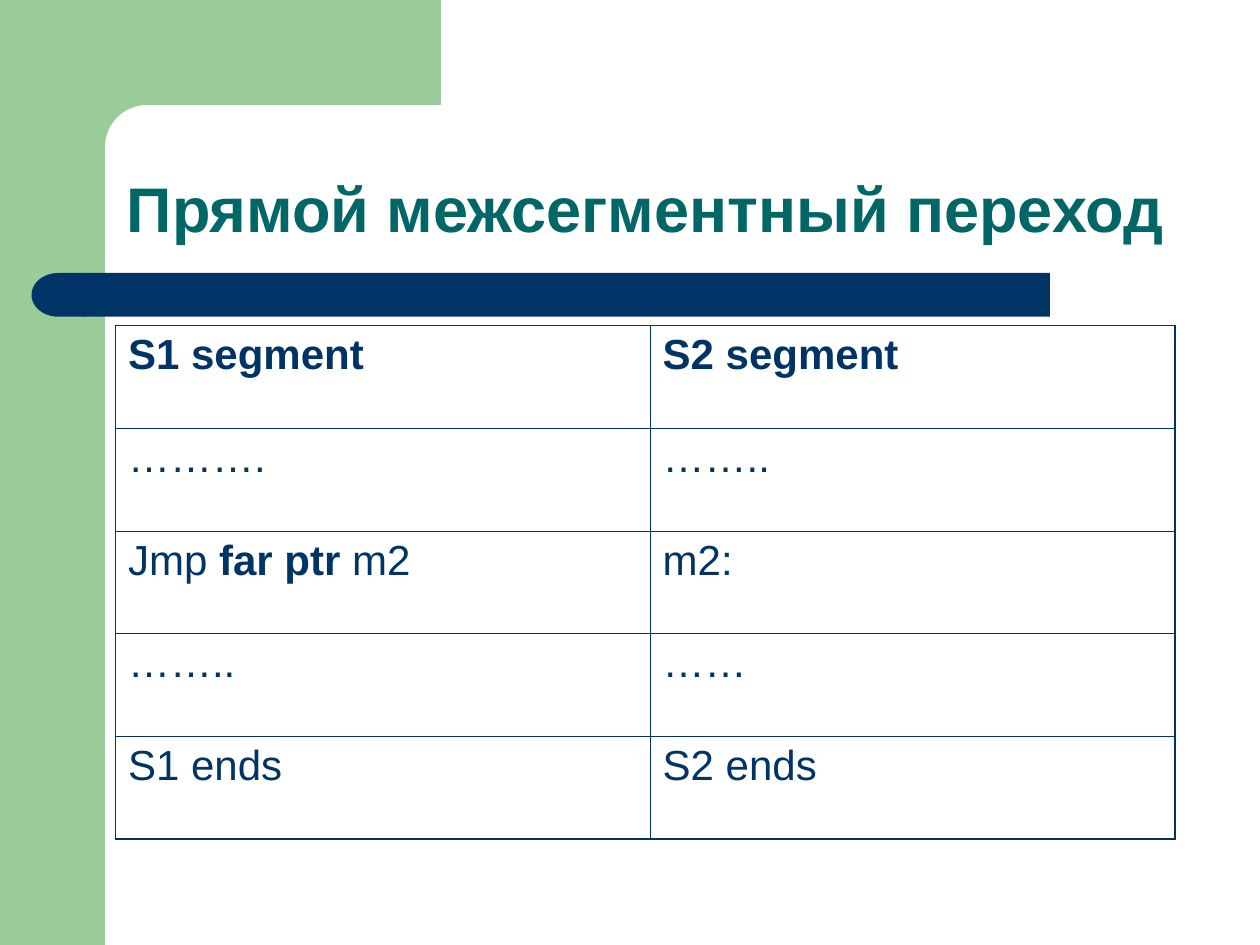
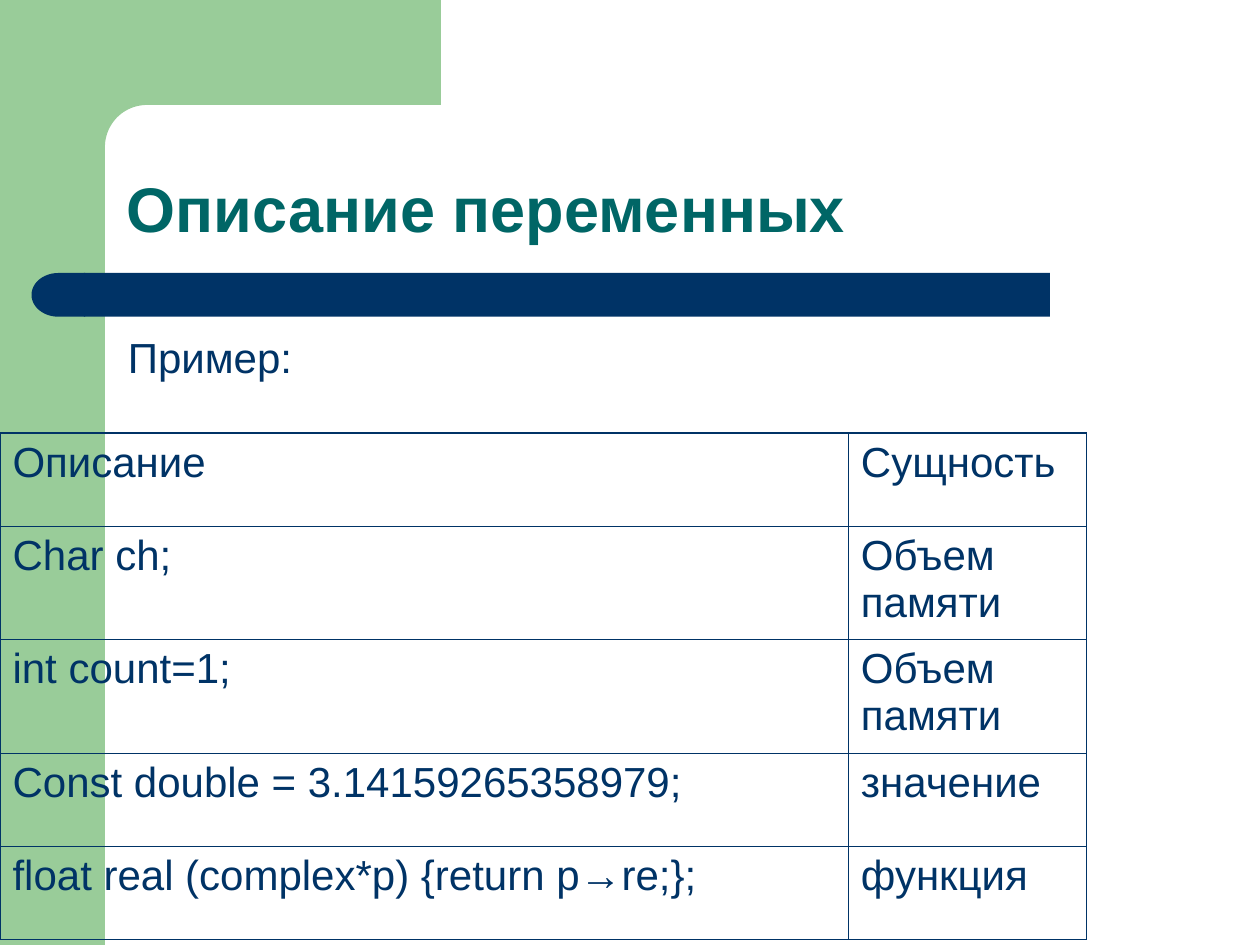
from math import cos, pi, sin

from lxml.etree import SubElement
from pptx import Presentation
from pptx.dml.color import RGBColor
from pptx.enum.shapes import MSO_SHAPE
from pptx.enum.text import MSO_ANCHOR
from pptx.oxml.ns import qn
from pptx.util import Emu, Pt

COLUMNS, ROWS = 120, 90  # grid of square cells
UNIT = 76200  # one cell, a twelfth of an inch, in EMU
FONT = "Arial"
GREEN, NAVY, TEAL = "99CC99", "003366", "006666"
OUTER, INNER = 1.08, 0.45  # table rules in points


def grid(*cells):
    return [Emu(round(cell * UNIT)) for cell in cells]


def color(value):
    return RGBColor.from_string(value)


class Deck:
    def __init__(self):
        self.prs = Presentation()
        self.prs.slide_width, self.prs.slide_height = grid(COLUMNS, ROWS)
        self.slide = None

    def new_slide(self, heading):
        self.slide = self.prs.slides.add_slide(self.prs.slide_layouts[6])
        self.frame()
        self.text(heading, (10.92, 10.92, 102.2, 13.08), 36, TEAL,
                  bold=True, anchor=MSO_ANCHOR.BOTTOM, spacing=0.9)

    def paint(self, shape, fill):
        shape.fill.solid()
        shape.fill.fore_color.rgb = color(fill)
        shape.line.fill.background()
        shape.shadow.inherit = False
        return shape

    def block(self, kind, box, fill):
        return self.paint(self.slide.shapes.add_shape(kind, *grid(*box)), fill)

    def frame(self):
        # Green side band and top corner with a rounded inner edge
        band, radius, steps = 10, 4, 24
        center = band + radius
        self.block(MSO_SHAPE.RECTANGLE, (0, 0, band, ROWS), GREEN)
        arc = [(center - radius * sin(pi / 2 * i / steps),
                center - radius * cos(pi / 2 * i / steps))
               for i in range(steps + 1)]
        outline = [(42, 0), (42, band), *arc, (band, 15.4), (6, 15.4)]
        builder = self.slide.shapes.build_freeform(*grid(6, 0), scale=1)
        builder.add_line_segments([grid(*point) for point in outline], close=True)
        self.paint(builder.convert_to_shape(), GREEN)
        # Navy bar with a round left end
        self.block(MSO_SHAPE.RECTANGLE, (8, 26, 92, 4.16), NAVY)
        self.block(MSO_SHAPE.FLOWCHART_DELAY, (3, 26, 5.1, 4.16), NAVY).rotation = 180

    def style(self, run, size, ink, bold):
        run.font.name, run.font.size, run.font.bold = FONT, Pt(size), bold
        run.font.color.rgb = color(ink)

    def text(self, words, box, size, ink, bold=False,
             anchor=MSO_ANCHOR.TOP, spacing=1.0):
        frame = self.slide.shapes.add_textbox(*grid(*box)).text_frame
        frame.word_wrap, frame.vertical_anchor = True, anchor
        frame.text = words
        paragraph = frame.paragraphs[0]
        paragraph.line_spacing = spacing
        self.style(paragraph.runs[0], size, ink, bold)

    def borders(self, cell, widths):
        properties = cell._tc.get_or_add_tcPr()
        for side, width in zip("LRTB", widths):
            line = SubElement(properties, qn(f"a:ln{side}"), w=str(Pt(width)))
            fill = SubElement(line, qn("a:solidFill"))
            SubElement(fill, qn("a:srgbClr"), val=NAVY)

    def table(self, left, top, widths, heights, content):
        """Fill a ruled table; words between bars are bold."""
        last_row, last_column = len(heights) - 1, len(widths) - 1
        table = self.slide.shapes.add_table(
            len(heights), len(widths),
            *grid(left, top, sum(widths), sum(heights))).table
        table.first_row = table.horz_banding = False
        for column, width in zip(table.columns, grid(*widths)):
            column.width = width
        for row, height in zip(table.rows, grid(*heights)):
            row.height = height
        for r, entries in enumerate(content):
            for c, entry in enumerate(entries):
                cell = table.cell(r, c)
                edges = (c == 0, c == last_column, r == 0, r == last_row)
                self.borders(cell, [OUTER if edge else INNER for edge in edges])
                cell.fill.background()
                for i, part in enumerate(entry.split("|")):
                    if part:
                        run = cell.text_frame.paragraphs[0].add_run()
                        run.text = part
                        self.style(run, 24, NAVY, i % 2 == 1)


def main():
    deck = Deck()

    # Far jump between segments
    deck.new_slide("Прямой межсегментный переход")
    deck.table(11, 31, [50.92, 50], [9.78] * 5, [
        ("|S1 segment|", "|S2 segment|"),
        ("……….", "…….."),
        ("Jmp |far ptr| m2", "m2:"),
        ("……..", "……"),
        ("S1 ends", "S2 ends"),
    ])

    # Variable declarations
    deck.new_slide("Описание переменных")
    deck.text("Пример:", (11, 31, 49.4, 7.3), 24, NAVY)
    low, tall = 8.87, 10.8
    deck.table(0, 41.25, [80.8, 22.68], [low, tall, tall, low, low], [
        ("Описание", "Сущность"),
        ("Char ch;", "Объем памяти"),
        ("int count=1;", "Объем памяти"),
        ("Const double = 3.14159265358979;", "значение"),
        ("float real (complex*p) {return p→re;};", "функция"),
    ])

    deck.prs.save("out.pptx")


if __name__ == "__main__":
    main()
